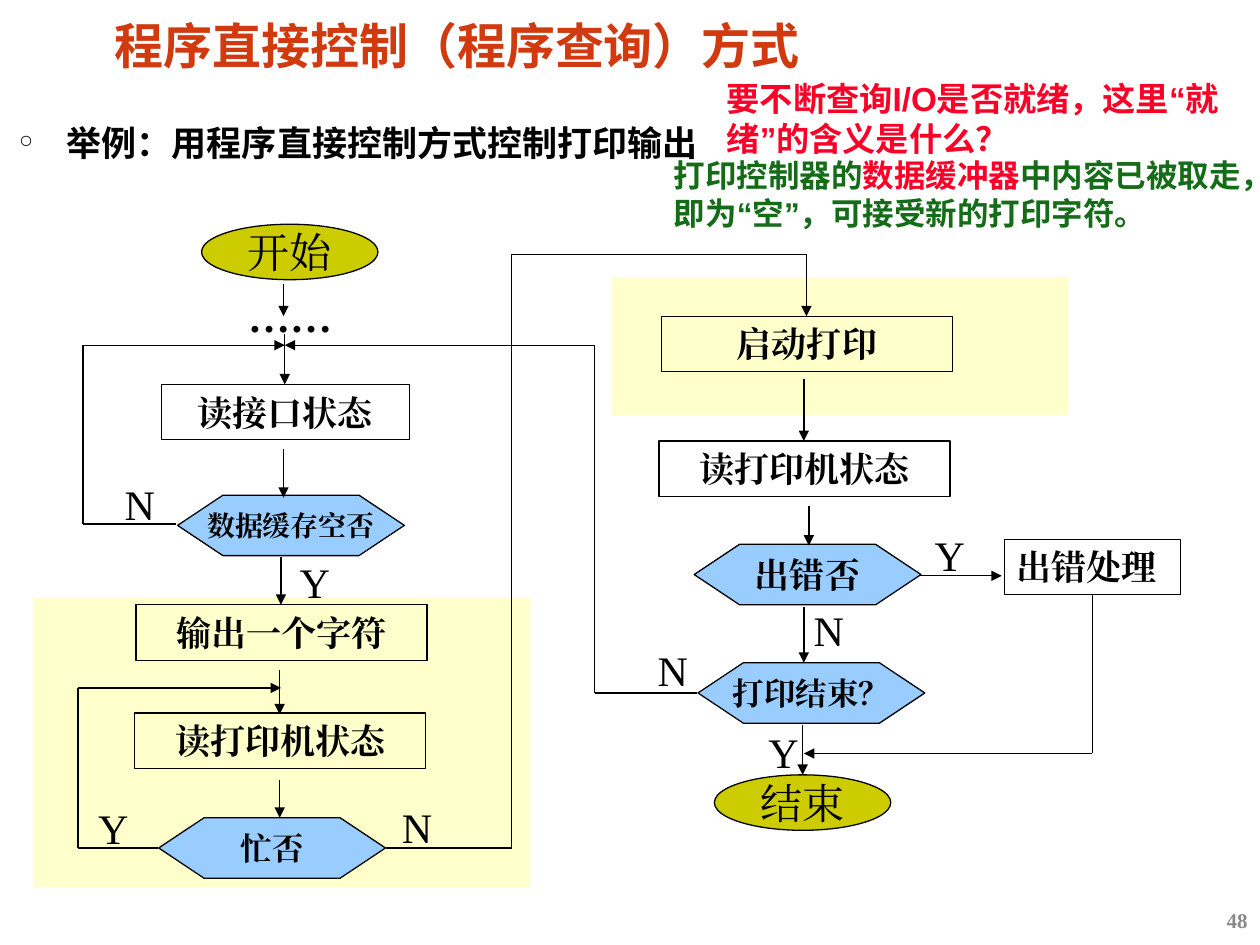
from itertools import pairwise

from lxml import etree
from pptx import Presentation
from pptx.dml.color import RGBColor
from pptx.enum.shapes import MSO_CONNECTOR, MSO_SHAPE
from pptx.enum.text import MSO_ANCHOR, PP_ALIGN
from pptx.oxml.ns import qn
from pptx.util import Inches, Pt

RECTANGLE, OVAL = MSO_SHAPE.RECTANGLE, MSO_SHAPE.OVAL
DECISION = MSO_SHAPE.FLOWCHART_PREPARATION
STRAIGHT = MSO_CONNECTOR.STRAIGHT
LEFT, CENTER, RIGHT = PP_ALIGN.LEFT, PP_ALIGN.CENTER, PP_ALIGN.RIGHT
TOP, MIDDLE = MSO_ANCHOR.TOP, MSO_ANCHOR.MIDDLE

SERIF, SANS, HEADING = "Times New Roman", "Arial", "Noto Sans CJK SC"
BLACK, RED, GREEN = "000000", "FC0128", "146C18"
COLUMNS, ROWS = 100, 75
BOX_HEIGHT, DECISION_SIZE, OVAL_SIZE = 4.4, (18, 4.8), (14, 4.4)


def color(value):
    return RGBColor.from_string(value)


class FlowchartSlide:
    def __init__(self, presentation):
        self.cell_width = presentation.slide_width / COLUMNS
        self.cell_height = presentation.slide_height / ROWS
        self.slide = presentation.slides.add_slide(presentation.slide_layouts[5])
        self.shapes = self.slide.shapes

    def place(self, *cells):
        sizes = (self.cell_width, self.cell_height) * 2
        return [round(cell * size) for cell, size in zip(cells, sizes)]

    def set_text(self, shape, runs, size, font=SERIF, bold=False, align=LEFT,
                 anchor=TOP, wrap=True, margins=(0.1, 0.05)):
        frame = shape.text_frame
        frame.word_wrap = wrap
        frame.vertical_anchor = anchor
        frame.margin_left = frame.margin_right = Inches(margins[0])
        frame.margin_top = frame.margin_bottom = Inches(margins[1])
        paragraph = frame.paragraphs[0]
        paragraph.alignment = align
        paragraph.font.size = Pt(size)
        paragraph.font.bold = bold
        paragraph.font.name = font
        properties = paragraph.font._element
        etree.SubElement(properties, qn("a:ea")).set("typeface", font)
        for text, text_color in runs:
            run = paragraph.add_run()
            run.text = text
            if len(runs) > 1:
                run.font.color.rgb = color(text_color)
        if len(runs) == 1:
            paragraph.font.color.rgb = color(runs[0][1])
        return paragraph

    def title(self, text, cells, text_color):
        title = self.shapes.title
        title.left, title.top, title.width, title.height = self.place(*cells)
        paragraph = self.set_text(title, [(text, text_color)], 28, HEADING, True,
                                  margins=(0.16, 0.03))
        paragraph.line_spacing = 0.87

    def text(self, runs, cells, size, **style):
        box = self.shapes.add_textbox(*self.place(*cells))
        return self.set_text(box, runs, size, **style)

    def bullet(self, text, cells):
        paragraph = self.text([(text, BLACK)], cells, 20, font=SANS, bold=True,
                              margins=(0.07, 0.03))
        paragraph.line_spacing = 1.2
        properties = paragraph._p.get_or_add_pPr()
        properties.set("marL", str(Inches(0.38)))
        properties.set("indent", str(Inches(-0.38)))
        marker = etree.Element(qn("a:buChar"), char="°")
        properties.find(qn("a:defRPr")).addprevious(marker)

    def node(self, kind, text, cells, size=20, fill=None, bold=True, align=CENTER):
        shape = self.shapes.add_shape(kind, *self.place(*cells))
        shape.shadow.inherit = False
        if fill:
            shape.fill.solid()
            shape.fill.fore_color.rgb = color(fill)
        else:
            shape.fill.background()
        shape.line.color.rgb = color(BLACK)
        shape.line.width = Pt(0.75)
        self.set_text(shape, [(text, BLACK)], size, bold=bold, align=align,
                      anchor=MIDDLE, wrap=False)

    def panel(self, cells):
        shape = self.shapes.add_shape(RECTANGLE, *self.place(*cells))
        shape.shadow.inherit = False
        shape.line.fill.background()
        shape.fill.solid()
        shape.fill.fore_color.rgb = color("FFFF99")
        fill = shape._element.spPr.find(qn("a:solidFill"))
        etree.SubElement(fill[0], qn("a:alpha")).set("val", "50000")

    def route(self, points, width=0.75):
        segments = list(pairwise(points))
        for index, (start, end) in enumerate(segments):
            line = self.shapes.add_connector(STRAIGHT, *self.place(*start, *end))
            line.line.color.rgb = color(BLACK)
            line.line.width = Pt(width)
            if index == len(segments) - 1:
                outline = line.line._get_or_add_ln()
                etree.SubElement(outline, qn("a:tailEnd")).set("type", "triangle")
            etree.SubElement(line._element.spPr, qn("a:effectLst"))


def main():
    presentation = Presentation()
    presentation.slide_width, presentation.slide_height = Inches(10), Inches(7.5)
    chart = FlowchartSlide(presentation)

    for cells in ((48.6, 22, 36.2, 11), (2.7, 47.4, 39.4, 23)):
        chart.panel(cells)
    chart.title("程序直接控制（程序查询）方式", (7.5, 1.6, 73.5, 4.6), "D1390F")
    chart.bullet("举例：用程序直接控制方式控制打印输出", (0.8, 8.7, 89.6, 4.5))

    for text, left, top in (("开始", 16, 17.8), ("结束", 56.7, 61.5)):
        chart.node(OVAL, text, (left, top, *OVAL_SIZE), 24, "CCCC00", False)
    for text, left, top, width in (
        ("读接口状态", 12.8, 30.5, 19.7),
        ("输出一个字符", 10.8, 48, 23.1),
        ("读打印机状态", 10.7, 56.6, 23.1),
        ("启动打印", 52.5, 25.1, 23.1),
        ("读打印机状态", 52.3, 35, 23.1),
    ):
        chart.node(RECTANGLE, text, (left, top, width, BOX_HEIGHT))
    chart.node(RECTANGLE, "出错处理", (79.7, 42.8, 14, BOX_HEIGHT), align=LEFT)
    for text, left, top, size in (
        ("数据缓存空否", 14.1, 39.3, 16),
        ("忙否", 12.6, 64.9, 18),
        ("出错否", 55.1, 43.2, 20),
        ("打印结束？", 55.4, 52.6, 18),
    ):
        chart.node(DECISION, text, (left, top, *DECISION_SIZE), size, "99CCFF")

    for column, start, end in (
        (22.5, 22.5, 25.1), (22.6, 26.5, 30.5), (22.5, 35.6, 39.5),
        (22.3, 44.2, 48), (22.2, 53.2, 56.7), (22.2, 61.9, 64.9),
        (63.8, 30.1, 35), (64.2, 40.2, 43.3), (63.8, 48.2, 52.6),
        (63.7, 57.5, 61.5),
    ):
        chart.route([(column, start), (column, end)])
    chart.route([(72.9, 45.7), (79.5, 45.7)])
    chart.route([(14, 41.6), (6.6, 41.6), (6.6, 27.4), (22.6, 27.4)])
    chart.route([(12.5, 67.3), (6.2, 67.3), (6.2, 54.6), (22.3, 54.6)])
    chart.route([(30.6, 67.3), (40.6, 67.3), (40.6, 20.2), (64, 20.2), (64, 25.1)])
    chart.route([(55.3, 55), (47.2, 55), (47.2, 27.4), (22.6, 27.4)])
    chart.route([(86.7, 47.2), (86.7, 59.8), (63.8, 59.8)], width=1)

    for text, left, top in (
        ("N", 8.9, 37.5), ("Y", 22.8, 43.7), ("N", 30.9, 63.1), ("Y", 6.8, 63.2),
        ("Y", 60, 57.2), ("N", 51.2, 50.7), ("N", 63.6, 47.5), ("Y", 73.2, 41.5),
    ):
        chart.text([(text, BLACK)], (left, top, 5.9, 5), 24)
    chart.text([("……", BLACK)], (18.7, 22.6, 11.9, 5), 24, bold=True)

    chart.text([("要不断查询I/O是否就绪，这里“就绪”的含义是什么？", RED)],
               (56.7, 5.7, 41.6, 7.4), 19, font=SANS, bold=True)
    chart.text([("打印控制器的", GREEN), ("数据缓冲器", RED),
                ("中内容已被取走，即为“空”，可接受新的打印字符。", GREEN)],
               (52.5, 11.9, 47.5, 7.1), 18, font=SANS, bold=True)
    chart.text([("48", "898989")], (77.5, 71, 22.5, 4), 12, bold=True,
               align=RIGHT, anchor=MIDDLE)
    presentation.save("out.pptx")


if __name__ == "__main__":
    main()
